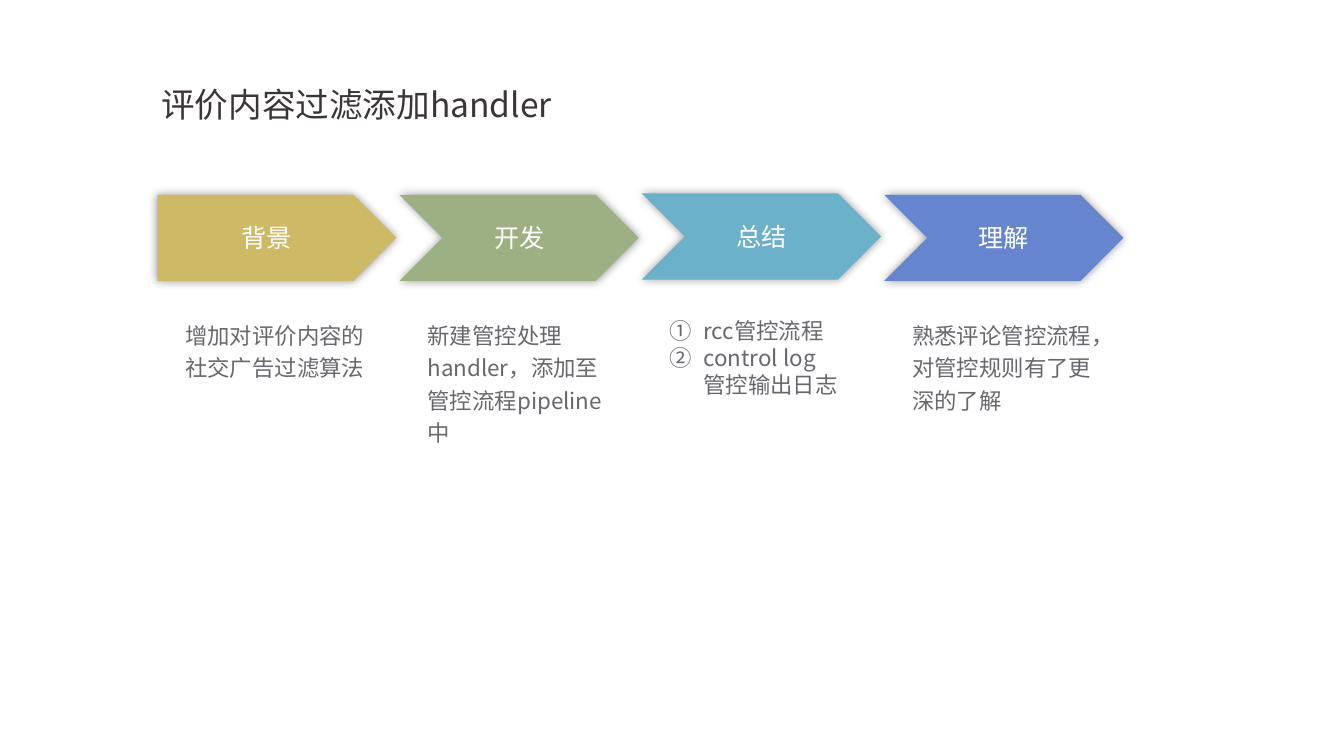
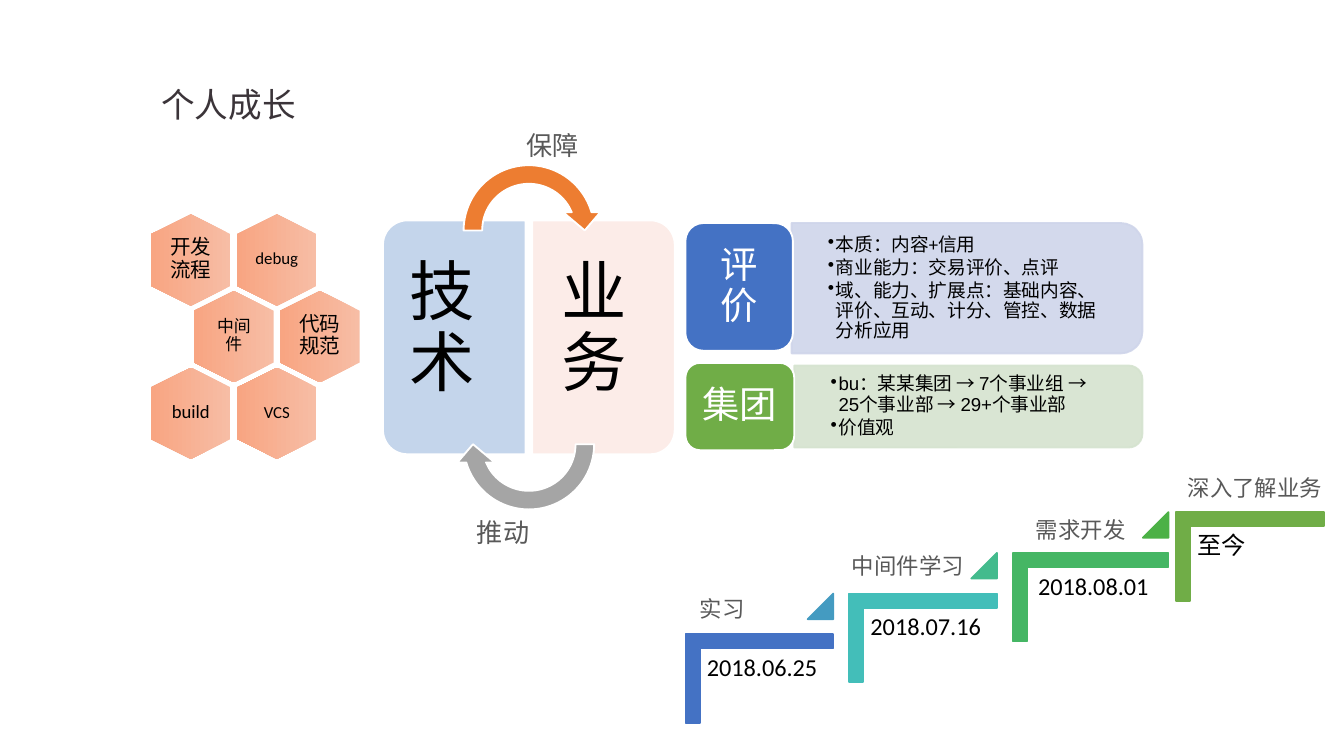
from lxml import etree
from pptx import Presentation
from pptx import util as u
from pptx.dml.color import RGBColor
from pptx.enum import shapes, text
from pptx.oxml import ns

SHAPE = shapes.MSO_SHAPE
LEFT, CENTER = text.PP_ALIGN.LEFT, text.PP_ALIGN.CENTER
TOP, MIDDLE = text.MSO_ANCHOR.TOP, text.MSO_ANCHOR.MIDDLE
COLUMNS, ROWS = 100, 56.25
SANS, CALIBRI, ARIAL = "Noto Sans CJK SC", "Calibri", "Arial"
INK, BODY, LABEL, BLACK, WHITE = "3B3439", "69676D", "595959", "000000", "FFFFFF"
BLUE, GREEN, ORANGE, GRAY = "4472C4", "70AD47", "ED7D31", "A5A5A5"


def rgb(value):
    return RGBColor.from_string(value)


def add_xml(parent, tag, **attributes):
    return etree.SubElement(parent, ns.qn(tag), attributes)


class Deck:
    """Holds the shared style and the current slide; lengths are grid columns and rows."""

    def __init__(self):
        self.deck = Presentation()
        self.deck.slide_width, self.deck.slide_height = u.Inches(10), u.Inches(5.625)
        self.cell_x = self.deck.slide_width / COLUMNS
        self.cell_y = self.deck.slide_height / ROWS
        self.slide = None

    def box(self, x, y, w, h):
        return (round(x * self.cell_x), round(y * self.cell_y),
                round(w * self.cell_x), round(h * self.cell_y))

    def new_slide(self, heading):
        self.slide = self.deck.slides.add_slide(self.deck.slide_layouts[5])
        title = self.slide.shapes.title
        title.left, title.top, title.width, title.height = self.box(11, 5.7, 57, 4.5)
        title.text_frame.auto_size = text.MSO_AUTO_SIZE.NONE
        self.set_text(title, heading, 18, INK, anchor=MIDDLE, spacing=0.9)

    def set_text(self, holder, words, size, color, font=SANS, align=LEFT, anchor=TOP,
                 insets=(1, 0.5, 1, 0.5), spacing=None, after=0, bullet=None):
        """Fill a shape with one paragraph per item; after is a share of the font size."""
        frame = holder.text_frame
        frame.word_wrap, frame.vertical_anchor = True, anchor
        (frame.margin_left, frame.margin_top,
         frame.margin_right, frame.margin_bottom) = self.box(*insets)
        items = [words] if isinstance(words, str) else words
        for index, item in enumerate(items):
            paragraph = frame.add_paragraph() if index else frame.paragraphs[0]
            paragraph.text, paragraph.alignment = item, align
            if spacing:
                paragraph.line_spacing = spacing
            if after:
                paragraph.space_after = u.Pt(size * after)
            if bullet:
                self.bullet(paragraph, *bullet)
            paragraph.font.size, paragraph.font.name = u.Pt(size), font
            paragraph.font.color.rgb = rgb(color)

    def bullet(self, paragraph, indent, tag, **mark):
        properties = paragraph._p.get_or_add_pPr()
        hang = self.box(indent, 0, 0, 0)[0]
        properties.set("marL", str(hang))
        properties.set("indent", str(-hang))
        marks = {"a:buAutoNum": {"type": "circleNumDbPlain"}, "a:buChar": {"char": "•"}}
        add_xml(properties, tag, **marks[tag])

    def label(self, place, words, size, color, **style):
        holder = self.slide.shapes.add_textbox(*self.box(*place))
        self.set_text(holder, words, size, color, **style)

    def paint(self, shape, fill, line=None, alpha=None):
        shape.shadow.inherit = False
        shape.fill.solid()
        shape.fill.fore_color.rgb = rgb(fill)
        if line:
            shape.line.color.rgb, shape.line.width = rgb(line), u.Pt(1)
        else:
            shape.line.fill.background()
        if alpha:
            for color in shape._element.spPr.iter(ns.qn("a:srgbClr")):
                add_xml(color, "a:alpha", val=str(alpha * 1000))

    def shape(self, kind, place, fill, line=None, turn=0, adjust=(), alpha=None):
        """Add a preset shape; place is the area it covers after its turn."""
        x, y, w, h = place
        if turn % 180:
            x, y, w, h = x + (w - h) / 2, y + (h - w) / 2, h, w
        shape = self.slide.shapes.add_shape(kind, *self.box(x, y, w, h))
        shape.rotation = turn
        for index, value in enumerate(adjust):
            shape.adjustments[index] = value
        self.paint(shape, fill, line, alpha)
        return shape

    def chevron(self, x, y, w, h, fill):
        notch = h / 2
        outline = [(x, y), (x + w - notch, y), (x + w, y + notch),
                   (x + w - notch, y + h), (x, y + h), (x + notch, y + notch)]
        points = [self.box(*point, 0, 0)[:2] for point in outline]
        builder = self.slide.shapes.build_freeform(*points[0])
        builder.add_line_segments(points[1:], close=True)
        shape = builder.convert_to_shape()
        self.paint(shape, fill)
        return shape

    def glow(self, shape):
        """Give the shape a soft shadow with no offset."""
        effects = shape._element.spPr.find(ns.qn("a:effectLst"))
        shadow = add_xml(effects, "a:outerShdw", blurRad=str(u.Pt(5)), dist="0", dir="0")
        color = add_xml(shadow, "a:srgbClr", val=BLACK)
        add_xml(color, "a:alpha", val="40000")

    def hexagon(self, x, y, words, size):
        shape = self.shape(SHAPE.HEXAGON, (x, y, 5.9, 6.8), "F7BDA5", turn=90)
        shape.fill.gradient()
        shape.fill.gradient_angle = 270
        for stop, color in zip(shape.fill.gradient_stops, ("F7BDA5", "F8A582")):
            stop.color.rgb = rgb(color)
        inset = 0.2 if size < 10 else 0
        self.label((x + 0.95, y + 1.05, 4, 4.6), words, size, BLACK, font=CALIBRI,
                   align=CENTER, anchor=MIDDLE, insets=(inset,) * 4, spacing=0.9, after=0.35)


def handler_slide(deck):
    deck.new_slide("评价内容过滤添加handler")
    stages = [
        ("背景", "CEB966", 14.5, "增加对评价内容的社交广告过滤算法"),
        ("开发", "9CB084", 14.5, "新建管控处理handler，添加至管控流程pipeline中"),
        ("总结", "6BB1C9", 14.4, ["rcc管控流程", "control log \v管控输出日志"]),
        ("理解", "6585CF", 14.5, "熟悉评论管控流程，对管控规则有了更深的了解"),
    ]
    for index, (stage, color, top, detail) in enumerate(stages):
        x = 11.7 + 18.03 * index
        place = (x, top, 17.8, 6.4)
        arrow = deck.chevron(*place, color) if index else deck.shape(SHAPE.PENTAGON, place, color)
        deck.glow(arrow)
        deck.set_text(arrow, stage, 13.5, WHITE, font=CALIBRI, align=CENTER, anchor=MIDDLE,
                      insets=(0.7, 0.4, 0.7, 0.4))
        numbered = isinstance(detail, list)
        deck.label((x + 1.1, 23.1, 15.5, 25.4), detail, 12, BODY,
                   spacing=None if numbered else 1.2,
                   bullet=(2.5, "a:buAutoNum") if numbered else None)


def timeline(deck):
    steps = [
        ("2018.06.25", BLUE, 11, "449BC1"),
        ("2018.07.16", "43BEB9", 11, "43BB8D"),
        ("2018.08.01", "45B664", 11.6, "4CB146"),
        ("至今", GREEN, 11, None),
    ]
    for index, (date, color, length, rise_color) in enumerate(steps):
        x, y = 51 + 12.17 * index, 47.2 - 3.03 * index
        deck.shape(SHAPE.CORNER, (x, y, length, 6.6), color, color, 90, (0.16, 0.16))
        deck.label((x + length / 2 - 4.4, y + 1.1, 10, 8.7), date, 13, BLACK, font=CALIBRI,
                   insets=(0.5,) * 4, spacing=0.9, after=0.35)
        if rise_color:
            deck.shape(SHAPE.ISOSCELES_TRIANGLE, (x + length - 1.9, y - 3.03, 1.9, 1.9),
                       rise_color, rise_color, adjust=(1,))
    for x, y, w, phase in [(51.1, 43.8, 10.5, "实习"), (62.4, 40.6, 10.5, "中间件学习"),
                           (76.1, 37.9, 10.5, "需求开发"), (87.4, 34.8, 12, "深入了解业务")]:
        deck.label((x, y, w, 4.4), phase, 12, LABEL)


def cycle(deck):
    halves = [("技术", 28.5, 29, "C4D5EB", 270, (1.5, 2.4, 2.2, 2.4)),
              ("业务", 39.6, 39.6, "FCECE8", 90, (2.2, 2.4, 1.5, 2.4))]
    for word, x, text_x, color, turn, insets in halves:
        deck.shape(SHAPE.ROUND_2_SAME_RECTANGLE, (x, 16.4, 10.6, 17.4), color, WHITE,
                   turn, (0.17, 0))
        deck.label((text_x, 16.9, 10.1, 16.4), word, 35, BLACK, font=CALIBRI,
                   insets=insets, spacing=0.9, after=0.35)
    arrows = [("保障", 11.6, ORANGE, 0, 38.2, 9.1), ("推动", 27.5, GRAY, 180, 34.5, 37.9)]
    for word, y, color, turn, text_x, text_y in arrows:
        deck.shape(SHAPE.CIRCULAR_ARROW, (33.8, y, 11.1, 11.1), color, WHITE, turn,
                   (0.125, 11.42, 204.58, 108, 0.125))
        deck.label((text_x, text_y, 6.2, 3.1), word, 14, LABEL)


def skills(deck):
    rows = [[("开发流程", 11), ("debug", 9)],
            [("中间件", 9), ("代码规范", 11)],
            [("build", 10), ("VCS", 9)]]
    for row, cells in enumerate(rows):
        for column, (skill, size) in enumerate(cells):
            deck.hexagon(11.25 + 6.4 * column + 3.2 * (row % 2), 15.95 + 5.7 * row, skill, size)


def business(deck):
    topics = [
        ("评价", BLUE, (51, 16.6, 8, 9.5), "CFD5EA", (58.9, 16.6, 26.1, 9.7), CALIBRI,
         ["本质：内容+信用", "商业能力：交易评价、点评",
          "域、能力、扩展点：基础内容、评价、互动、计分、管控、数据分析应用"]),
        ("集团", GREEN, (51, 27, 8.1, 6.5), "D5E3CF", (59.1, 27.2, 25.9, 6.1), ARIAL,
         ["bu：某某集团 → 7个事业组 → 25个事业部 → 29+个事业部", "价值观"]),
    ]
    for topic, color, tile, tint, panel, font, points in topics:
        deck.shape(SHAPE.ROUND_2_SAME_RECTANGLE, panel, tint, tint, 90, alpha=90)
        x, y, w, h = panel
        deck.label((x, y + 0.4, 25.6, h - 0.8), points, 10, BLACK, font=font, anchor=MIDDLE,
                   insets=(2.7, 1.4, 2.7, 1.4), spacing=0.9, after=0.15,
                   bullet=(0.6, "a:buChar"))
        deck.shape(SHAPE.ROUNDED_RECTANGLE, tile, color, WHITE)
        x, y, w, h = tile
        margin = 0.5 if topic == "评价" else 0.3
        deck.label((x + margin, y + 0.35, w - 2 * margin, h - 0.7), topic, 20, WHITE,
                   font=CALIBRI, align=CENTER, anchor=MIDDLE, insets=(0.8, 0.4, 0.8, 0.4),
                   spacing=0.9, after=0.35)


def main():
    deck = Deck()
    handler_slide(deck)
    deck.new_slide("个人成长")
    for part in (timeline, cycle, skills, business):
        part(deck)
    deck.deck.save("out.pptx")


if __name__ == "__main__":
    main()
